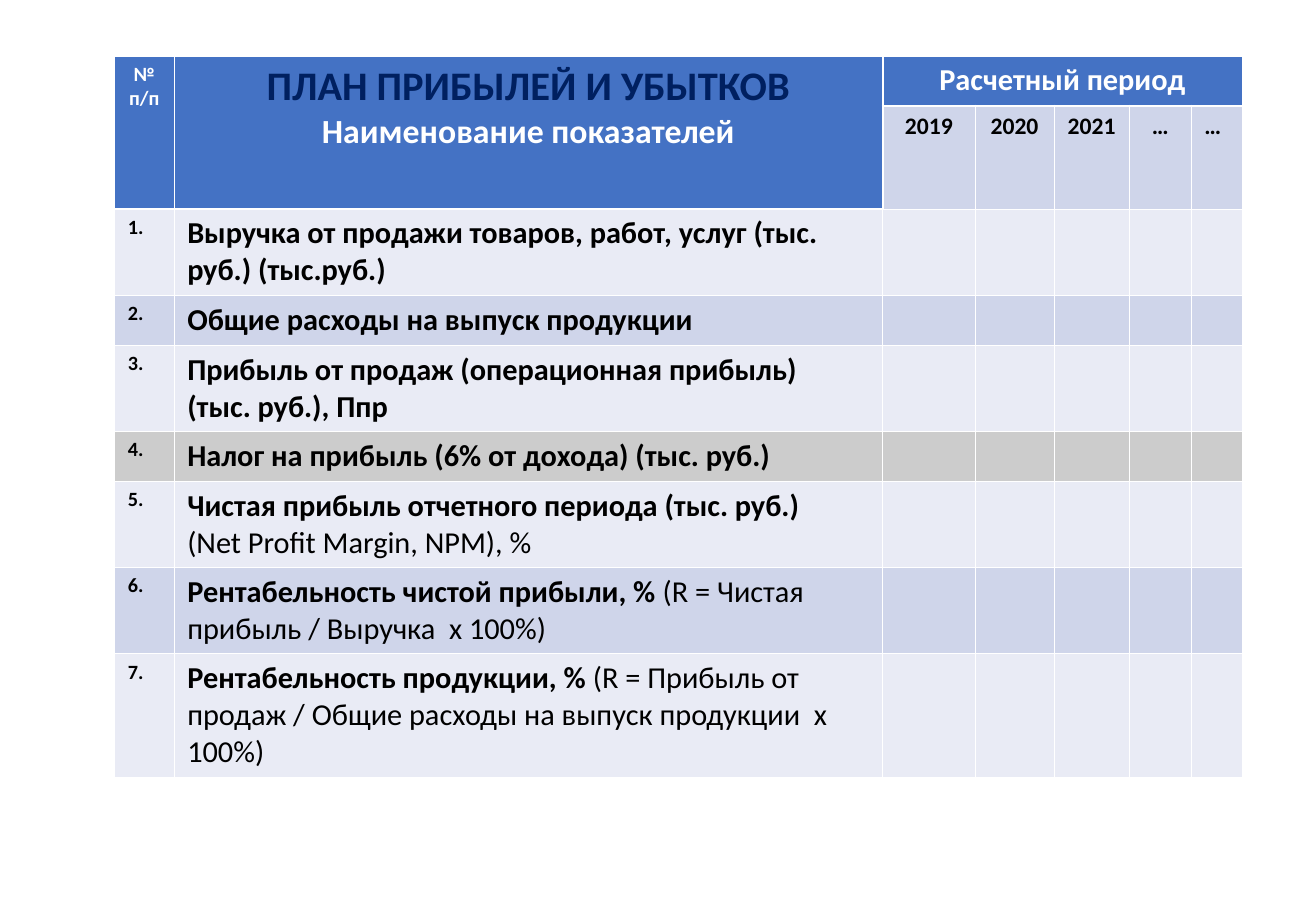
"""Build the profit and loss plan slide."""
from lxml import etree
from pptx import Presentation
from pptx.dml.color import RGBColor
from pptx.enum.text import PP_ALIGN
from pptx.oxml.ns import qn
from pptx.util import Inches, Pt

LEFT, CENTER = PP_ALIGN.LEFT, PP_ALIGN.CENTER
WHITE = RGBColor(0xFF, 0xFF, 0xFF)
BLACK = RGBColor(0, 0, 0)
NAVY = RGBColor(0x00, 0x20, 0x60)
BLUE = RGBColor(0x44, 0x72, 0xC4)
DARK_BAND = RGBColor(0xCF, 0xD5, 0xEA)
LIGHT_BAND = RGBColor(0xE9, 0xEB, 0xF5)
GRAY = RGBColor(0xCC, 0xCC, 0xCC)

TABLE_LEFT, TABLE_TOP = 8.7, 6.13
COLUMN_WIDTHS = [4.52, 53.87, 7.01, 6, 5.72, 4.7, 3.87]
ROW_HEIGHTS = [5.47, 11.33, 9.47, 5.47, 9.47, 5.47, 9.47, 9.47, 13.6]
ROW_FILLS = [BLUE, DARK_BAND, LIGHT_BAND, DARK_BAND, LIGHT_BAND, GRAY,
             LIGHT_BAND, DARK_BAND, LIGHT_BAND]
HEADER_ROWS = 2
LABEL_COLUMNS = 2
PERIODS = ["2019", "2020", "2021", "…", "…"]
INDICATORS = [
    [[("Выручка от продажи товаров, работ, услуг (тыс. руб.) (тыс.руб.)", True)]],
    [[("Общие расходы на выпуск продукции", True)]],
    [[("Прибыль от продаж (операционная прибыль)", True)],
     [("(тыс. руб.), Ппр", True)]],
    [[("Налог на прибыль (6% от дохода) (тыс. руб.)", True)]],
    [[("Чистая прибыль отчетного периода (тыс. руб.)", True)],
     [("(Net Profit Margin, NPM), %", False)]],
    [[("Рентабельность чистой прибыли, %", True),
      (" (R = Чистая прибыль / Выручка  x 100%)", False)]],
    [[("Рентабельность продукции, % ", True),
      ("(R = Прибыль от продаж / Общие расходы на выпуск продукции  x 100%)", False)]],
]


class TableSlide:
    """Holds the slide and its style; lengths are percentages of the slide."""

    font = "Calibri"
    thin, thick = Pt(0.45), Pt(1.47)

    def __init__(self, deck):
        self.width, self.height = deck.slide_width, deck.slide_height
        self.slide = deck.slides.add_slide(deck.slide_layouts[6])

    def across(self, share):
        """Turn a share of the slide's width into a length."""
        return round(self.width * share / 100)

    def down(self, share):
        """Turn a share of the slide's height into a length."""
        return round(self.height * share / 100)

    def table(self, left, top, widths, heights):
        """Add a plain table with the given column and row shares."""
        frame = self.slide.shapes.add_table(
            len(heights), len(widths), self.across(left), self.down(top),
            self.across(sum(widths)), self.down(sum(heights)))
        table = frame.table
        table.first_row = table.horz_banding = False
        for column, width in zip(table.columns, widths):
            column.width = self.across(width)
        for row, height in zip(table.rows, heights):
            row.height = self.down(height)
        return table

    def paint(self, cell, fill, thick_sides):
        """Fill a cell and draw its white borders."""
        cell.fill.solid()
        cell.fill.fore_color.rgb = fill
        cell.margin_left = cell.margin_right = Inches(0.11)
        properties = cell._tc.get_or_add_tcPr()
        for position, side in enumerate("LRTB"):
            width = self.thick if side in thick_sides else self.thin
            line = etree.Element(qn(f"a:ln{side}"), w=str(int(width)))
            solid = etree.SubElement(line, qn("a:solidFill"))
            etree.SubElement(solid, qn("a:srgbClr"), val=str(WHITE))
            properties.insert(position, line)

    def label(self, cell, spans, size, color=BLACK, align=LEFT, append=False):
        """Put one paragraph of (text, bold) spans into a cell."""
        frame = cell.text_frame
        para = frame.add_paragraph() if append else frame.paragraphs[0]
        para.alignment = align
        para.font.name = self.font
        para.font.size = Pt(size)
        for text, bold in spans:
            span = para.add_run()
            span.text = text
            span.font.bold = bold
            span.font.color.rgb = color


def thick_sides(row, column):
    """Name the sides of a cell that bound the header blocks."""
    label = column < LABEL_COLUMNS
    header = row < HEADER_ROWS
    sides = {
        "L": header and column == LABEL_COLUMNS,
        "R": header and column == LABEL_COLUMNS - 1,
        "T": row == (HEADER_ROWS if label else 1),
        "B": row == 0 or (label and row == 1),
    }
    return [side for side, is_thick in sides.items() if is_thick]


def main():
    """Build and save the deck."""
    deck = Presentation()
    deck.slide_width, deck.slide_height = Inches(10.84), Inches(7.5)
    page = TableSlide(deck)
    table = page.table(TABLE_LEFT, TABLE_TOP, COLUMN_WIDTHS, ROW_HEIGHTS)

    for row, row_fill in enumerate(ROW_FILLS):
        for column in range(len(COLUMN_WIDTHS)):
            in_header = row < HEADER_ROWS and column < LABEL_COLUMNS
            page.paint(table.cell(row, column), BLUE if in_header else row_fill,
                       thick_sides(row, column))

    for column in range(LABEL_COLUMNS):
        table.cell(0, column).merge(table.cell(HEADER_ROWS - 1, column))
    table.cell(0, LABEL_COLUMNS).merge(table.cell(0, len(COLUMN_WIDTHS) - 1))

    number, name, period = (table.cell(0, column) for column in range(3))
    page.label(number, [("№ п/п", True)], 12, WHITE, CENTER)
    page.label(name, [("ПЛАН ПРИБЫЛЕЙ И УБЫТКОВ", True)], 24, NAVY, CENTER)
    page.label(name, [("Наименование показателей", True)], 20, WHITE, CENTER, append=True)
    page.label(period, [("Расчетный период", True)], 18, WHITE, CENTER)

    for index, year in enumerate(PERIODS):
        align = LEFT if index == len(PERIODS) - 1 else CENTER
        page.label(table.cell(1, LABEL_COLUMNS + index), [(year, True)], 14, align=align)

    for index, paragraphs in enumerate(INDICATORS):
        row = HEADER_ROWS + index
        page.label(table.cell(row, 0), [(f"{index + 1}.", True)], 12)
        for order, spans in enumerate(paragraphs):
            page.label(table.cell(row, 1), spans, 18, append=order > 0)

    deck.save("out.pptx")


if __name__ == "__main__":
    main()
